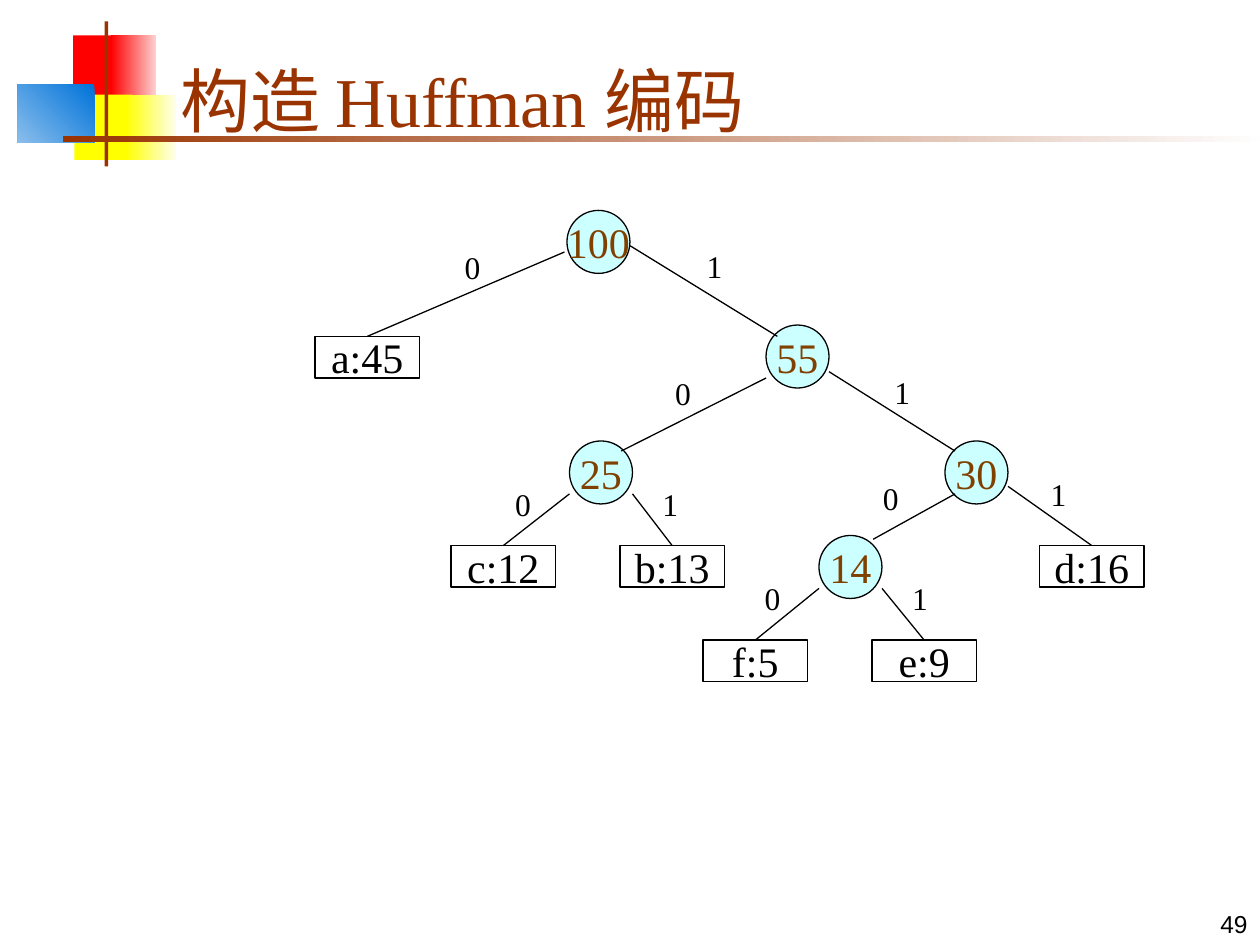
from lxml.etree import SubElement
from pptx import Presentation
from pptx.dml.color import RGBColor
from pptx.enum.shapes import MSO_CONNECTOR as Connector, MSO_SHAPE as Shape
from pptx.enum.text import MSO_ANCHOR as Anchor, MSO_AUTO_SIZE as AutoSize, PP_ALIGN as Align
from pptx.oxml.ns import qn
from pptx.util import Inches, Pt

BLACK = RGBColor(0x00, 0x00, 0x00)
RUST = RGBColor(0x99, 0x33, 0x00)
BROWN = RGBColor(0x80, 0x40, 0x00)
AQUA = RGBColor(0xCC, 0xFF, 0xFF)
RED = RGBColor(0xFF, 0x00, 0x00)
PINK = RGBColor(0xFE, 0xD0, 0xD0)
YELLOW = RGBColor(0xFF, 0xFF, 0x00)
CREAM = RGBColor(0xFE, 0xFE, 0xEF)
BLUE = RGBColor(0x00, 0x73, 0xD9)
SKY = RGBColor(0x8A, 0xBE, 0xEC)
NEAR_WHITE = RGBColor(0xFE, 0xFE, 0xFE)

SERIF = "Times New Roman"
CIRCLE_SIZE = (0.5, 0.5)
LEAF_SIZE = (0.83, 0.33)
BIT_SIZE = (0.34, 0.4)

CIRCLES = {
    "100": (4.5, 1.67),
    "55": (6.08, 2.58),
    "25": (4.52, 3.5),
    "30": (7.5, 3.5),
    "14": (6.5, 4.25),
}
LEAVES = {
    "a:45": (2.5, 2.67),
    "c:12": (3.58, 4.33),
    "b:13": (4.92, 4.33),
    "d:16": (8.25, 4.33),
    "f:5": (5.58, 5.08),
    "e:9": (6.92, 5.08),
}
LEAF_BRANCHES = [
    ("a:45", (4.48, 2), "0", (3.59, 1.92)),
    ("c:12", (4.52, 3.92), "0", (3.99, 3.8)),
    ("b:13", (5.02, 3.92), "1", (5.16, 3.8)),
    ("d:16", (8, 3.86), "1", (8.24, 3.72)),
    ("f:5", (6.5, 4.67), "0", (5.97, 4.55)),
    ("e:9", (7, 4.67), "1", (7.14, 4.55)),
]
CIRCLE_BRANCHES = [
    ((6.17, 2.67), (5, 1.95), "1", (5.51, 1.91)),
    ((4.93, 3.58), (6.08, 3), "0", (5.26, 2.92)),
    ((7.58, 3.58), (6.58, 2.95), "1", (7, 2.91)),
    ((6.93, 4.28), (7.58, 3.92), "0", (6.91, 3.75)),
]


def inches(*lengths):
    return [Inches(length) for length in lengths]


def write(shape, text, size=24, color=BLACK, font=SERIF, align=Align.LEFT,
          anchor=Anchor.TOP, wrap=False, fit=AutoSize.NONE):
    frame = shape.text_frame
    frame.word_wrap = wrap
    frame.auto_size = fit
    frame.vertical_anchor = anchor
    frame.margin_left = frame.margin_right = Inches(0.1)
    frame.margin_top = frame.margin_bottom = Inches(0.05)
    paragraph = frame.paragraphs[0]
    paragraph.alignment = align
    run = paragraph.add_run()
    run.text = text
    run.font.size = Pt(size)
    run.font.name = font
    run.font.color.rgb = color


def add_block(slide, box, start, end=None, angle=180):
    block = slide.shapes.add_shape(Shape.RECTANGLE, *inches(*box))
    block.shadow.inherit = False
    block.line.fill.background()
    if end is None:
        block.fill.solid()
        block.fill.fore_color.rgb = start
    else:
        block.fill.gradient()
        block.fill.gradient_angle = angle
        for stop, color in zip(block.fill.gradient_stops, (start, end)):
            stop.color.rgb = color


def add_ornament(slide, box):
    left, top, width, height = box
    add_block(slide, (left + 0.44, top + 0.11, 0.35, 0.52), RED)
    add_block(slide, (left + 0.74, top + 0.11, 0.36, 0.52), PINK, RED)
    add_block(slide, (left + 0.45, top + 0.58, 0.46, 0.52), YELLOW)
    add_block(slide, (left + 0.86, top + 0.58, 0.4, 0.52), CREAM, YELLOW)
    add_block(slide, (left, top + 0.5, 0.61, 0.46), BLUE, SKY, angle=225)
    add_block(slide, (left + 0.69, top, 0.03, height), RUST)
    add_block(slide, (left + 0.36, top + 0.91, width - 0.36, 0.05), NEAR_WHITE, RUST)


def add_title(slide, box):
    title = slide.shapes.title
    title.left, title.top, title.width, title.height = inches(*box)
    write(title, "构造 Huffman 编码", size=40, color=RUST, anchor=Anchor.BOTTOM, wrap=True)


def add_node(slide, kind, box, text, color, fill=None):
    node = slide.shapes.add_shape(kind, *inches(*box))
    node.shadow.inherit = False
    if fill is None:
        node.fill.background()
    else:
        node.fill.solid()
        node.fill.fore_color.rgb = fill
    node.line.color.rgb = BLACK
    node.line.width = Pt(0.75)
    write(node, text, color=color, align=Align.CENTER, anchor=Anchor.MIDDLE)
    return node


def add_branch(slide, child, parent, bit, bit_at):
    branch = slide.shapes.add_connector(Connector.STRAIGHT, *inches(*child, *parent))
    branch.line.color.rgb = BLACK
    branch.line.width = Pt(0.75)
    SubElement(branch._element.spPr, qn("a:effectLst"))
    label = slide.shapes.add_textbox(*inches(*bit_at, *BIT_SIZE))
    write(label, bit, size=18, fit=AutoSize.SHAPE_TO_FIT_TEXT)
    return branch


def add_tree(slide, box):
    left, top = box[:2]

    def place(point):
        return left + point[0] - 2.5, top + point[1] - 1.67

    for weight, corner in CIRCLES.items():
        add_node(slide, Shape.OVAL, (*place(corner), *CIRCLE_SIZE), weight, BROWN, AQUA)
    leaves = {
        text: add_node(slide, Shape.RECTANGLE, (*place(corner), *LEAF_SIZE), text, BLACK)
        for text, corner in LEAVES.items()
    }
    for text, parent, bit, bit_at in LEAF_BRANCHES:
        x, y = LEAVES[text]
        child = (x + LEAF_SIZE[0] / 2, y)
        branch = add_branch(slide, place(child), place(parent), bit, place(bit_at))
        branch.begin_connect(leaves[text], 0)
    for child, parent, bit, bit_at in CIRCLE_BRANCHES:
        add_branch(slide, place(child), place(parent), bit, place(bit_at))


def add_page_number(slide, box):
    number = slide.shapes.add_textbox(*inches(*box))
    write(number, "49", size=14, font="Arial", align=Align.RIGHT,
          anchor=Anchor.BOTTOM, wrap=True)


def main():
    deck = Presentation()
    deck.slide_width, deck.slide_height = inches(10, 7.5)
    slide = deck.slides.add_slide(deck.slide_layouts[5])
    add_ornament(slide, (0.14, 0.17, 9.86, 1.15))
    add_title(slide, (1.33, 0.25, 8.52, 0.92))
    add_tree(slide, (2.5, 1.67, 6.58, 3.74))
    add_page_number(slide, (7.92, 7, 2.08, 0.5))
    deck.save("out.pptx")


if __name__ == "__main__":
    main()
